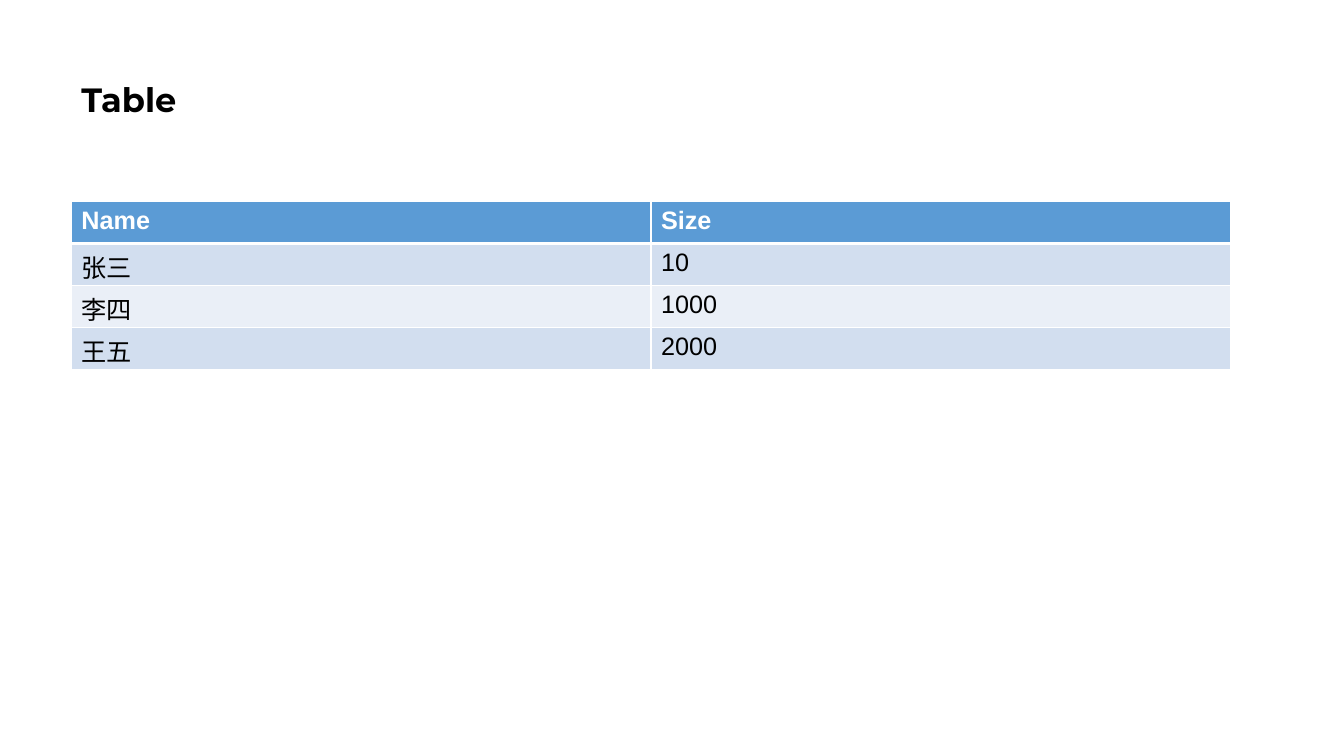
from dataclasses import dataclass

from lxml.etree import SubElement
from pptx import Presentation
from pptx.dml.color import RGBColor
from pptx.enum.text import MSO_ANCHOR
from pptx.oxml.ns import qn
from pptx.table import _Cell as Cell
from pptx.text.text import TextFrame
from pptx.util import Pt

BLACK = RGBColor(0x00, 0x00, 0x00)
WHITE = RGBColor(0xFF, 0xFF, 0xFF)
HEADER_BLUE = RGBColor(0x5B, 0x9B, 0xD5)
BAND_DARK = RGBColor(0xD2, 0xDE, 0xEF)
BAND_LIGHT = RGBColor(0xEA, 0xEF, 0xF7)

LEFT, WIDTH = Pt(51), Pt(828)
ROW_HEIGHT = Pt(30)
THIN, THICK = Pt(1), Pt(3)
ROWS = [("Name", "Size"), ("张三", "10"), ("李四", "1000"), ("王五", "2000")]


@dataclass(frozen=True)
class TextStyle:
    font: str
    size: int
    color: RGBColor
    bold: bool = False


@dataclass(frozen=True)
class RowStyle:
    fill: RGBColor
    text: TextStyle
    top: int = THIN
    bottom: int = THIN


TITLE = TextStyle("Montserrat", 24, BLACK, bold=True)
HEADER_TEXT = TextStyle("Arial", 18, WHITE, bold=True)
BODY_TEXT = TextStyle("Arial", 18, BLACK)


def row_style(index: int) -> RowStyle:
    if index == 0:
        return RowStyle(HEADER_BLUE, HEADER_TEXT, bottom=THICK)
    band = BAND_DARK if index % 2 else BAND_LIGHT
    return RowStyle(band, BODY_TEXT, top=THICK if index == 1 else THIN)


def add_text(tf: TextFrame, text: str, style: TextStyle) -> None:
    r = tf.paragraphs[0].add_run()
    r.text = text
    r.font.name = style.font
    r.font.size = Pt(style.size)
    r.font.bold = style.bold
    r.font.color.rgb = style.color


def add_borders(cell: Cell, top: int, bottom: int) -> None:
    tc_pr = cell._tc.get_or_add_tcPr()
    for side, width in (("L", THIN), ("R", THIN), ("T", top), ("B", bottom)):
        ln = SubElement(tc_pr, qn(f"a:ln{side}"), w=str(int(width)))
        fill = SubElement(ln, qn("a:solidFill"))
        SubElement(fill, qn("a:srgbClr"), val=str(WHITE))


def main() -> None:
    prs = Presentation()
    prs.slide_width, prs.slide_height = Pt(960), Pt(540)
    s = prs.slides.add_slide(prs.slide_layouts[6])

    title = s.shapes.add_textbox(LEFT, Pt(20), WIDTH, Pt(104.4))
    tf = title.text_frame
    tf.word_wrap = True
    tf.vertical_anchor = MSO_ANCHOR.MIDDLE
    tf.paragraphs[0].line_spacing = 0.9
    add_text(tf, "Table", TITLE)

    table = s.shapes.add_table(
        len(ROWS), len(ROWS[0]), LEFT, Pt(144), WIDTH, ROW_HEIGHT * len(ROWS)
    ).table
    for i, values in enumerate(ROWS):
        style = row_style(i)
        table.rows[i].height = ROW_HEIGHT
        for j, value in enumerate(values):
            cell = table.cell(i, j)
            add_borders(cell, style.top, style.bottom)
            cell.fill.solid()
            cell.fill.fore_color.rgb = style.fill
            add_text(cell.text_frame, value, style.text)

    prs.save("out.pptx")


if __name__ == "__main__":
    main()
